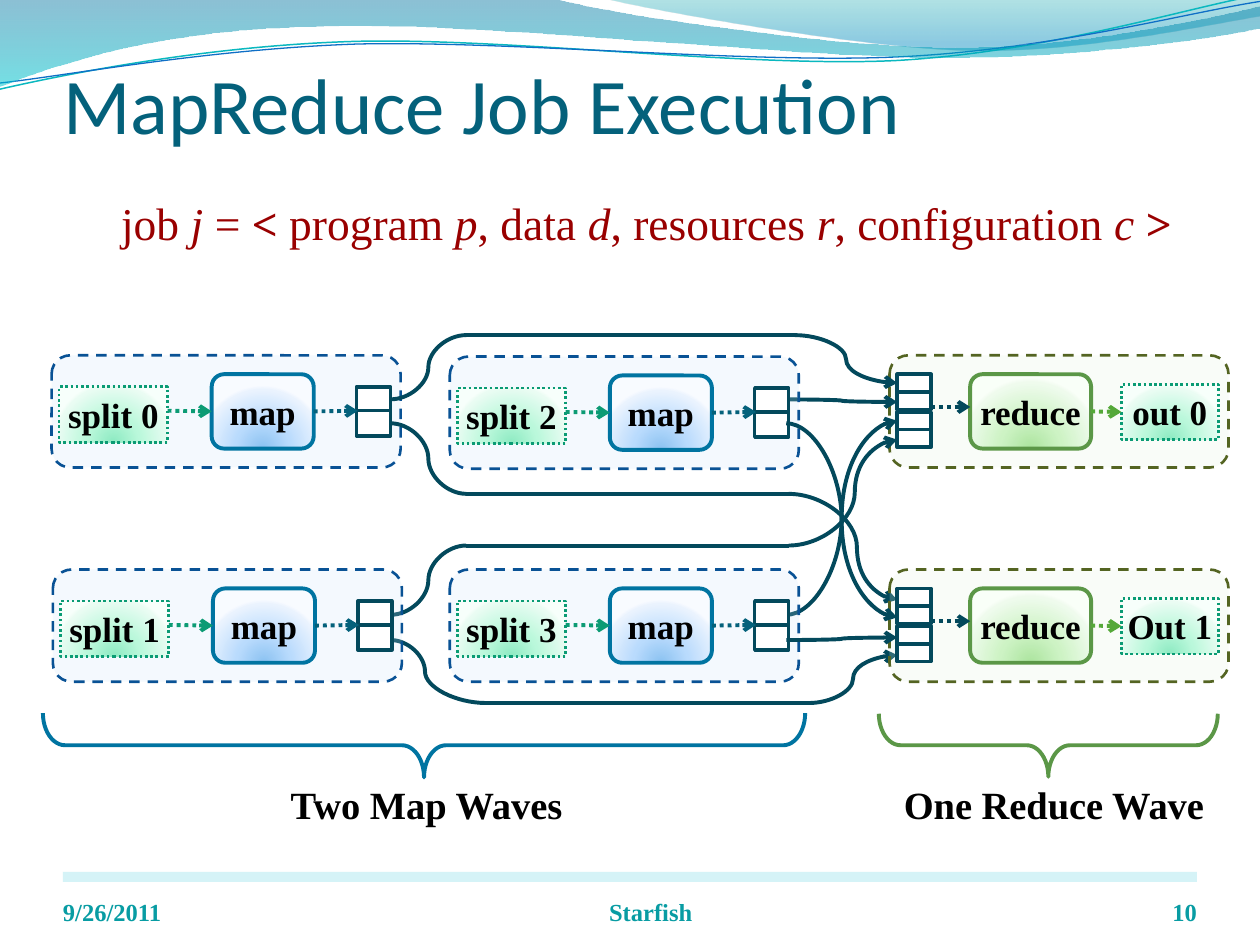
"""Build the slide that shows how a MapReduce job runs in waves."""
from math import cos, radians, sin

from lxml import etree
from pptx import Presentation
from pptx.dml.color import RGBColor
from pptx.enum.dml import MSO_LINE as Dash
from pptx.enum.shapes import MSO_CONNECTOR as Link, MSO_SHAPE as Shape
from pptx.enum.text import MSO_ANCHOR as Anchor, PP_ALIGN as Align
from pptx.oxml import parse_xml
from pptx.oxml.ns import qn
from pptx.util import Cm, Pt

NS = 'xmlns:a="http://schemas.openxmlformats.org/drawingml/2006/main"'
INK, MAP_EDGE, REDUCE_EDGE, SPLIT_EDGE = "03495C", "0074A1", "5B9747", "0A9B74"
MINT = [(0, "8DEAC2"), (43, "BAF8DB"), (93, "EAFCF3"), (100, "F7FFFB")]
BLUE = [(0, "8BC2F1"), (43, "B9DBFD"), (93, "EAF3FE"), (100, "F8FBFF")]
GREEN = [(0, "ACE49F"), (43, "CDF3C4"), (93, "EFFBED"), (100, "F9FFF8")]
GLOW = '<a:path path="circle"><a:fillToRect l="50000" t="130000" r="50000" b="-30000"/></a:path>'
DOWN = '<a:lin ang="5400000" scaled="0"/>'


def inch(value):
    """Turn inches into a length."""
    return Cm(value * 2.54)


def rgb(colour):
    """Turn a hex string into a colour."""
    return RGBColor.from_string(colour)


def tint(colour, alpha=100):
    """Give the XML of a colour with its opacity in percent."""
    return f'<a:srgbClr val="{rgb(colour)}"><a:alpha val="{alpha * 1000}"/></a:srgbClr>'


def paint(shape, fill, shade=GLOW):
    """Fill with a colour, a (colour, opacity) pair, a list of stops or nothing."""
    shape.fill.background()
    if isinstance(fill, str):
        shape.fill.solid()
        shape.fill.fore_color.rgb = rgb(fill)
    elif fill:
        if isinstance(fill, tuple):
            xml = f"<a:solidFill {NS}>{tint(*fill)}</a:solidFill>"
        else:
            stops = "".join(f'<a:gs pos="{at * 1000}">{tint(*colour)}</a:gs>' for at, *colour in fill)
            xml = f'<a:gradFill {NS} rotWithShape="1"><a:gsLst>{stops}</a:gsLst>{shade}</a:gradFill>'
        empty = shape._element.spPr.find(qn("a:noFill"))
        empty.getparent().replace(empty, parse_xml(xml))


def outline(line, colour, width, dash=None):
    """Format a line, or hide it when it has no colour."""
    if colour is None:
        line.fill.background()
        return
    line.color.rgb = rgb(colour)
    line.width = Pt(width)
    if dash:
        line.dash_style = dash


def write(frame, text, size=20, font="Times New Roman", colour="000000", bold=True,
          align=Align.CENTER, anchor=Anchor.TOP, margins=(0.1, 0.05, 0.1, 0.05)):
    """Write a string or (text, style letters) runs into a text frame."""
    frame.word_wrap = True
    frame.vertical_anchor = anchor
    frame.margin_left, frame.margin_top, frame.margin_right, frame.margin_bottom = map(inch, margins)
    paragraph = frame.paragraphs[0]
    paragraph.alignment = align
    for words, style in [(text, "b" if bold else "")] if isinstance(text, str) else text:
        run = paragraph.add_run()
        run.text = words
        run.font.name, run.font.size = font, Pt(size)
        run.font.color.rgb = rgb(colour)
        run.font.bold, run.font.italic = "b" in style, "i" in style


def turn(point, centre, degrees):
    """Rotate a point clockwise about a centre."""
    (x, y), (cx, cy), angle = point, centre, radians(degrees)
    return (cx + (x - cx) * cos(angle) - (y - cy) * sin(angle),
            cy + (x - cx) * sin(angle) + (y - cy) * cos(angle))


class JobSlide:
    """Hold the current slide and draw its elements in one style."""

    def __init__(self, deck):
        """Add a title-only slide."""
        self.slide = deck.slides.add_slide(deck.slide_layouts[5])
        self.shapes = self.slide.shapes

    def title(self, text, x, y, w, h):
        """Place and write the title."""
        heading = self.shapes.title
        heading.left, heading.top, heading.width, heading.height = map(inch, (x, y, w, h))
        write(heading.text_frame, text, size=45, font="Calibri", colour="04617B", bold=False,
              align=Align.LEFT, anchor=Anchor.MIDDLE, margins=(0, 0.05, 0, 0))

    def label(self, text, x, y, w, h, **style):
        """Add a text box."""
        write(self.shapes.add_textbox(*map(inch, (x, y, w, h))).text_frame, text, **style)

    def box(self, kind, x, y, w, h, fill=None, edge=None, width=2.25, dash=None, text=None, **style):
        """Add a preset shape with an optional caption."""
        shape = self.shapes.add_shape(kind, *map(inch, (x, y, w, h)))
        shape.shadow.inherit = False
        paint(shape, fill)
        outline(shape.line, edge, width, dash)
        if text:
            write(shape.text_frame, text, **style)
        return shape

    def brace(self, x, y, w, h, colour):
        """Add a brace that opens upwards."""
        shape = self.box(Shape.RIGHT_BRACE, x, y, w, h, edge=colour)
        shape.rotation = 90
        shape.adjustments[0] = 0.344

    def ribbon(self, start, parts, fill=None, edge=None, width=1, tilt=0):
        """Add an outline of curves (three points) and straight sides (one point)."""
        points = [turn(p, (4.99, 0.35), -tilt) for p in [start, *sum(parts, [])]]
        path = [(inch(x), inch(y)) for x, y in points]
        builder = self.shapes.build_freeform(*path[0])
        builder.add_line_segments(path[1:], close=fill is not None)
        shape = builder.convert_to_shape()
        sides = list(shape._element.iter(qn("a:lnTo")))
        for part in parts:
            side, *others = sides[:len(part)]
            sides = sides[len(part):]
            if others:
                side.tag = qn("a:cubicBezTo")
                for other in others:
                    side.append(other[0])
                    other.getparent().remove(other)
        shape.rotation = tilt
        shape.shadow.inherit = False
        paint(shape, fill, DOWN)
        outline(shape.line, edge, width)

    def link(self, start, end, colour=INK, kind=Link.CURVE, dash=None, arrow=True, bend=None):
        """Connect points or (shape, side) pairs."""
        ends = [(0, 0) if hasattr(p[0], "left") else tuple(map(inch, p)) for p in (start, end)]
        line = self.shapes.add_connector(kind, *ends[0], *ends[1])
        for place, join in ((start, line.begin_connect), (end, line.end_connect)):
            if hasattr(place[0], "left"):
                join(*place)
        outline(line.line, colour, 2.25, dash)
        props = line._element.spPr
        if arrow:
            etree.SubElement(props.find(qn("a:ln")), qn("a:tailEnd"), type="arrow")
        if bend:
            guides = props.find(qn("a:prstGeom")).get_or_add_avLst()
            etree.SubElement(guides, qn("a:gd"), name="adj1", fmla=f"val {round(bend * 100000)}")
        etree.SubElement(props, qn("a:effectLst"))

    def dots(self, start, end, colour):
        """Add a straight dotted arrow."""
        self.link(start, end, colour, Link.STRAIGHT, Dash.ROUND_DOT)

    def data(self, text, x, y, w):
        """Add a dotted box for input or output data."""
        return self.box(Shape.RECTANGLE, x, y, w, 0.44, MINT, SPLIT_EDGE, 1.5, Dash.ROUND_DOT,
                        text, margins=(0, 0.05, 0, 0.05))

    def task(self, text, x, y, w, fill, edge):
        """Add a rounded box for a map or reduce task."""
        return self.box(Shape.ROUNDED_RECTANGLE, x, y, w, 0.59, fill, edge, text=text,
                        anchor=Anchor.MIDDLE, margins=(0, 0.05, 0, 0.05))

    def cells(self, x, y, offsets, h):
        """Add a stack of partition cells."""
        for offset in offsets:
            self.box(Shape.RECTANGLE, x, y + offset, 0.27, h, "FFFFFF", INK, 2)

    def map_task(self, split, x, y):
        """Draw one map task with its split and output partitions."""
        self.box(Shape.ROUNDED_RECTANGLE, x, y, 2.77, 0.89, ("C8E3FB", 20), "095295", 1.5, Dash.DASH)
        self.data(split, x + 0.06, y + 0.25, 0.86)
        mapper = self.task("map", x + 1.27, y + 0.15, 0.81, BLUE, MAP_EDGE)
        self.cells(x + 2.42, y, (0.25, 0.44), 0.2)
        self.dots((x + 0.92, y + 0.44), (mapper, 1), "0C9B74")
        self.dots((mapper, 3), (x + 2.43, y + 0.44), "04617B")

    def reduce_task(self, out, x, y):
        """Draw one reduce task with its input slots and output."""
        self.box(Shape.ROUNDED_RECTANGLE, x, y, 2.69, 0.89, ("E5F4E0", 20), "546422", 1.5, Dash.DASH)
        output = self.data(out, x + 1.84, y + 0.23, 0.77)
        reducer = self.task("reduce", x + 0.64, y + 0.15, 0.96, GREEN, REDUCE_EDGE)
        self.dots((x + 0.33, y + 0.41), (x + 0.64, y + 0.41), INK)
        self.dots((reducer, 3), (output, 1), "55A839")
        self.cells(x + 0.06, y, (0.15, 0.29, 0.45, 0.59), 0.14)

    def detour(self, partition, slot, y, left, right, bends):
        """Route a first-wave partition around the second wave."""
        self.link((3.1, partition), (left, y), arrow=False, bend=bends[0])
        self.link((left, y), (right, y), kind=Link.STRAIGHT, arrow=False)
        self.link((right, y), (7.12, slot), bend=bends[1])


def main():
    """Build and save the slide."""
    deck = Presentation()
    deck.slide_width, deck.slide_height = inch(10), inch(7.5)
    job = JobSlide(deck)
    job.box(Shape.RECTANGLE, 0.5, 6.92, 9, 0.08, ("B3EAF2", 55))
    job.ribbon((4.79, -0.01), [[(5.09, 0.07), (6.82, 0.38), (7.69, 0.4)], [(8.56, 0.42), (9.61, 0.19), (10, 0.13)],
                               [(10, 0)]], [(0, "00A1A9", 30), (80, "008BBF", 45)])
    job.ribbon((-0.01, 0.71), [[(0.47, 0.6), (1.58, 0.37), (2.77, 0.33)], [(3.96, 0.29), (5.92, 0.54), (7.12, 0.48)],
                               [(8.32, 0.41), (9.39, 0.07), (9.99, -0.04)]], edge="0AB8BF", width=0.85, tilt=358)
    job.ribbon((-0.01, 0.66), [[(0.47, 0.61), (1.64, 0.39), (2.83, 0.35)], [(4.03, 0.32), (5.97, 0.51), (7.16, 0.45)],
                               [(8.36, 0.39), (9.42, 0.1), (10.01, 0.01)]], edge="0F6FC6", width=0.75, tilt=358)
    job.ribbon((0, -0.01), [[(4.4, -0.01)], [(4.76, 0.1), (6.64, 0.38), (7.58, 0.38)],
                            [(8.53, 0.38), (9.58, 0.15), (10, 0.05)], [(10.01, 0.22)],
                            [(9.83, 0.27), (8.7, 0.46), (7.46, 0.46)], [(6.22, 0.46), (3.82, 0.17), (2.57, 0.21)],
                            [(1.29, 0.22), (0.46, 0.51), (-0.01, 0.69)]], [(0, "0074A1", 45), (100, "00C6CF", 55)])
    job.title("MapReduce Job Execution", 0.5, 0.33, 9, 0.92)

    job.map_task("split 0", 0.41, 2.82)
    job.reduce_task("out 0", 7.06, 2.82)
    for partition, slot in ((3.17, 3.19), (4.88, 3.34)):
        job.link((6.24, partition), (7.12, slot))
    job.detour(5.08, 5.2, 5.58, 3.86, 6.42, (0.36, 0.5))
    job.detour(4.88, 3.49, 4.33, 3.7, 6.26, (0.5, 0.61))
    job.detour(3.17, 3.04, 2.66, 3.7, 6.31, (0.5, 0.5))
    job.detour(3.36, 4.76, 3.92, 3.7, 6.26, (0.5, 0.63))
    job.brace(3.11, 2.89, 0.51, 6.05, MAP_EDGE)
    job.brace(8.07, 4.57, 0.5, 2.69, REDUCE_EDGE)
    for caption, x in (("Two Map Waves", 2), ("One Reduce Wave", 6.98)):
        job.label(caption, x, 6.15, 2.77, 0.47, size=22)
    for split, x, y in (("split 2", 3.57, 2.83), ("split 1", 0.42, 4.52), ("split 3", 3.57, 4.52)):
        job.map_task(split, x, y)
    job.reduce_task("Out 1", 7.06, 4.52)
    for partition, slot in ((5.08, 5.06), (3.36, 4.9)):
        job.link((6.24, partition), (7.12, slot))

    job.label([("job ", ""), ("j", "i"), (" = ", ""), ("<", "b"), (" program ", ""), ("p", "i"), (", data ", ""),
               ("d", "i"), (", resources ", ""), ("r", "i"), (", configuration ", ""), ("c ", "i"), (">", "b")],
              0.42, 1.5, 9.42, 0.54, size=26, colour="990000")
    for note, x, w, align in (("9/26/2011", 0.5, 2.33, Align.LEFT), ("Starfish", 3.33, 3.67, Align.CENTER),
                              ("10", 8.67, 0.83, Align.RIGHT)):
        job.label(note, x, 6.95, w, 0.4, size=14, colour="089CA3", align=align,
                  anchor=Anchor.BOTTOM, margins=(0, 0, 0, 0))
    deck.save("out.pptx")


if __name__ == "__main__":
    main()
